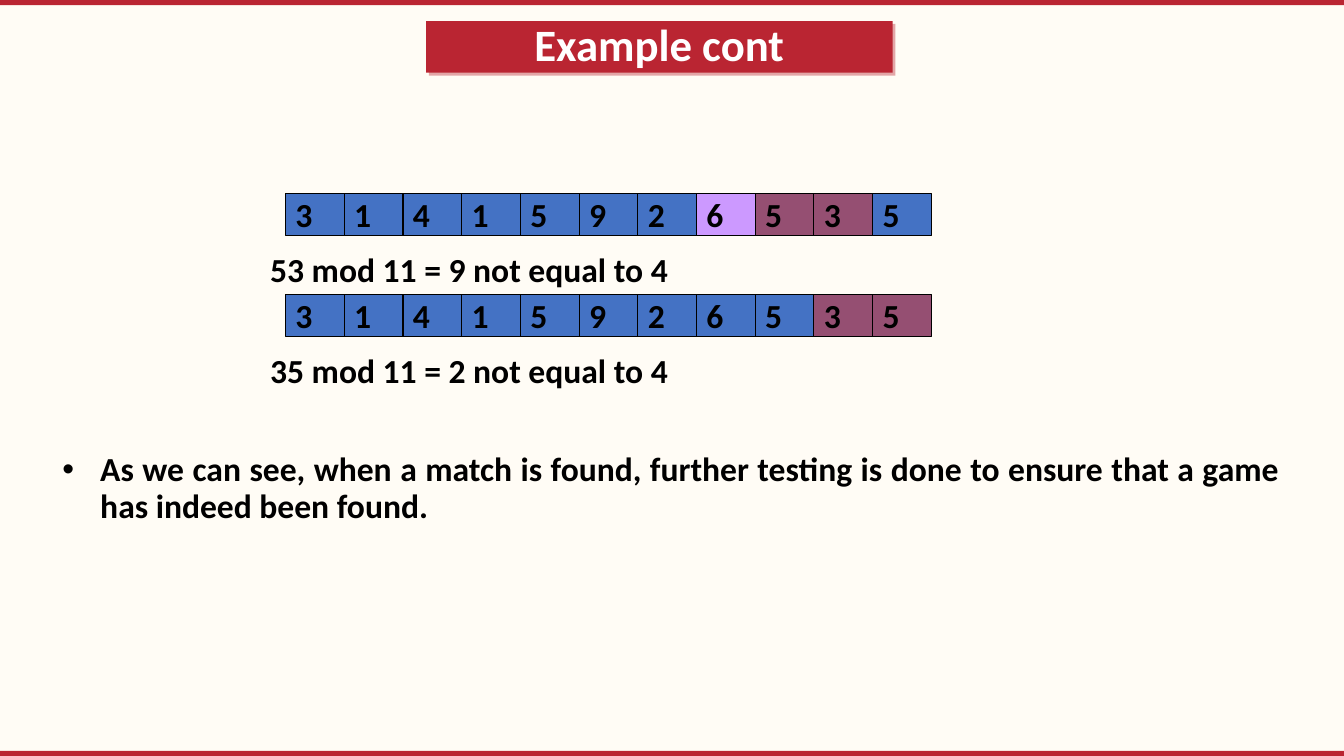
import lxml.etree
import pptx
import pptx.dml.color
import pptx.enum.shapes
import pptx.enum.text
import pptx.oxml
import pptx.oxml.ns
import pptx.util

Cm = pptx.util.Cm
RGBColor = pptx.dml.color.RGBColor
Align = pptx.enum.text.PP_ALIGN
Anchor = pptx.enum.text.MSO_ANCHOR

RED = RGBColor(0xBA, 0x25, 0x32)
CREAM = RGBColor(0xFF, 0xFC, 0xF5)
BLUE = RGBColor(0x44, 0x72, 0xC4)
LILAC = RGBColor(0xCC, 0x99, 0xFF)
PLUM = RGBColor(0x95, 0x4F, 0x72)
BLACK = RGBColor(0, 0, 0)
WHITE = RGBColor(255, 255, 255)

TITLE = "Example cont"
DIGITS = "31415926535"
STEPS = [
    ({7: LILAC, 8: PLUM, 9: PLUM}, "53 mod 11 = 9 not equal to 4"),
    ({9: PLUM, 10: PLUM}, "35 mod 11 = 2 not equal to 4"),
]
CONCLUSION = ("As we can see, when a match is found, further testing is done "
              "to ensure that a game has indeed been found.")

SLIDE_WIDTH, SLIDE_HEIGHT = 33.88, 19.05
BAR_HEIGHT = 0.13
CELL_LEFT, CELL_TOP, CELL_WIDTH, CELL_HEIGHT = 7.2, 4.87, 1.48, 1.06
STEP_PITCH, CAPTION_LEFT, CAPTION_DROP = 2.54, 6.56, 1.27

TITLE_OUTLINE = (
    '<a:prstGeom %s prst="roundRect"><a:avLst>'
    '<a:gd name="adj" fmla="val 16700"/></a:avLst></a:prstGeom>')
TITLE_SHADOW = (
    '<a:effectLst %s><a:outerShdw dist="38100" dir="2700000" algn="tl" '
    f'rotWithShape="0"><a:srgbClr val="{RED}"><a:alpha val="40000"/>'
    '</a:srgbClr></a:outerShdw></a:effectLst>')


def drawing_element(xml):
    """Build a DrawingML element from its markup."""
    return pptx.oxml.parse_xml(xml % pptx.oxml.ns.nsdecls("a"))


def place(part, left, top, width, height):
    """Move and size a part, in centimetres."""
    part.left, part.top = Cm(left), Cm(top)
    part.width, part.height = Cm(width), Cm(height)


def write(part, text, size=24, color=BLACK, align=Align.LEFT,
          anchor=Anchor.TOP, spacing=1.0):
    """Write one bold paragraph into a part."""
    frame = part.text_frame
    frame.text = text
    frame.word_wrap = True
    frame.auto_size = pptx.enum.text.MSO_AUTO_SIZE.NONE
    frame.vertical_anchor = anchor
    paragraph = frame.paragraphs[0]
    paragraph.alignment = align
    paragraph.line_spacing = spacing
    paragraph.space_before = pptx.util.Pt(0)
    font = paragraph.font
    font.name, font.size, font.bold = "Calibri", pptx.util.Pt(size), True
    font.color.rgb = color
    return paragraph


def add_box(slide, left, top, width, height, fill):
    """Add a plain filled rectangle."""
    box = slide.shapes.add_shape(
        pptx.enum.shapes.MSO_SHAPE.RECTANGLE,
        Cm(left), Cm(top), Cm(width), Cm(height))
    box.shadow.inherit = False
    box.fill.solid()
    box.fill.fore_color.rgb = fill
    box.line.fill.background()
    return box


def add_title(slide):
    """Format the title as a rounded red label."""
    title = slide.shapes.title
    place(title, 10.74, 0.53, 11.76, 1.3)
    properties = title._element.spPr
    properties.append(drawing_element(TITLE_OUTLINE))
    title.fill.solid()
    title.fill.fore_color.rgb = RED
    properties.append(drawing_element(TITLE_SHADOW))
    write(title, TITLE, 32, WHITE, Align.CENTER, Anchor.MIDDLE, 0.9)


def add_step(slide, top, highlights, caption):
    """Draw the row of digits and the check below it."""
    for column, digit in enumerate(DIGITS):
        cell = add_box(slide, CELL_LEFT + column * CELL_WIDTH, top,
                       CELL_WIDTH, CELL_HEIGHT, highlights.get(column, BLUE))
        cell.line.color.rgb = BLACK
        cell.line.width = pptx.util.Pt(0.75)
        write(cell, digit, anchor=Anchor.MIDDLE)
    check = slide.shapes.add_textbox(
        Cm(CAPTION_LEFT), Cm(top + CAPTION_DROP), Cm(16.43), Cm(1.27))
    write(check, caption)


def add_conclusion(slide):
    """Format the body text as a justified paragraph without a bullet."""
    body = slide.placeholders[1]
    place(body, 1.32, 11.28, 31.19, 2.39)
    body.text_frame.text = CONCLUSION
    indent = body.text_frame.paragraphs[0]._p.get_or_add_pPr()
    indent.set("marL", str(Cm(0.64)))
    indent.set("indent", "0")
    lxml.etree.SubElement(indent, pptx.oxml.ns.qn("a:buNone"))
    write(body, CONCLUSION, align=Align.JUSTIFY, spacing=0.9)


def main():
    """Build the slide and save it."""
    deck = pptx.Presentation()
    deck.slide_width, deck.slide_height = Cm(SLIDE_WIDTH), Cm(SLIDE_HEIGHT)
    slide = deck.slides.add_slide(deck.slide_layouts[1])
    slide.background.fill.solid()
    slide.background.fill.fore_color.rgb = CREAM
    for top in (0, SLIDE_HEIGHT - BAR_HEIGHT):
        add_box(slide, 0, top, SLIDE_WIDTH, BAR_HEIGHT, RED)
    add_title(slide)
    for number, (highlights, caption) in enumerate(STEPS):
        add_step(slide, CELL_TOP + number * STEP_PITCH, highlights, caption)
    add_conclusion(slide)
    deck.save("out.pptx")


if __name__ == "__main__":
    main()
